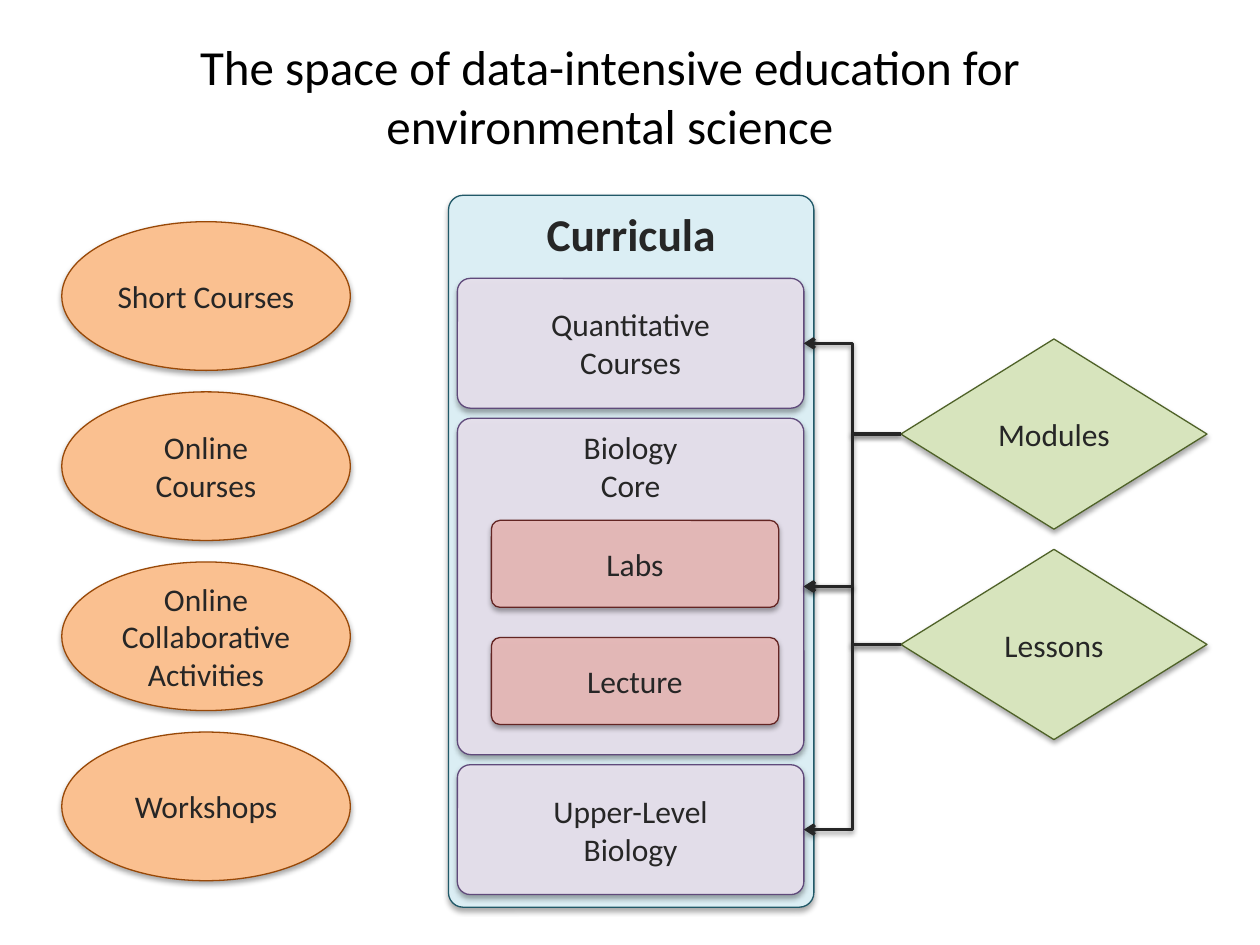
from dataclasses import dataclass

from lxml.etree import SubElement
from pptx import Presentation
from pptx.dml.color import RGBColor
from pptx.enum.shapes import MSO_CONNECTOR as Link, MSO_SHAPE as Preset
from pptx.enum.text import MSO_ANCHOR as Anchor, MSO_AUTO_SIZE as AutoSize, PP_ALIGN as Align
from pptx.oxml.ns import qn
from pptx.util import Inches, Pt

INK = "262626"


@dataclass(frozen=True)
class Style:
    preset: Preset
    fill: str
    line: str
    opacity: int = 100


@dataclass(frozen=True)
class Node:
    text: str
    style: Style
    left: float
    top: float
    width: float
    height: float
    corner: float = 0.099
    anchor: Anchor = Anchor.MIDDLE
    size: int = 18
    bold: bool = False


CURRICULA = Style(Preset.ROUNDED_RECTANGLE, "DBEEF4", "215968")
COURSE = Style(Preset.ROUNDED_RECTANGLE, "E6E0EC", "604A7B", 96)
CLASS = Style(Preset.ROUNDED_RECTANGLE, "E6B9B8", "632523", 96)
MATERIAL = Style(Preset.DIAMOND, "D7E4BD", "4F6228")
OFFERING = Style(Preset.OVAL, "FAC090", "984807")


def color(value: str) -> RGBColor:
    return RGBColor.from_string(value)


def format_text(frame, size: int, ink: str, anchor: Anchor, bold: bool = False) -> None:
    for name, value in {"word_wrap": True, "auto_size": AutoSize.NONE,
                        "vertical_anchor": anchor}.items():
        setattr(frame, name, value)
    for paragraph in frame.paragraphs:
        paragraph.alignment = Align.CENTER
        for run in paragraph.runs:
            run.font.color.rgb = color(ink)
            for name, value in {"name": "Calibri", "size": Pt(size), "bold": bold}.items():
                setattr(run.font, name, value)


def add_shadow(properties, opacity: int, distance: float) -> None:
    effects = SubElement(properties, qn("a:effectLst"))
    shadow = SubElement(effects, qn("a:outerShdw"), blurRad=str(Pt(3.1)),
                        dist=str(Pt(distance)), dir="5400000", rotWithShape="0")
    black = SubElement(shadow, qn("a:srgbClr"), val="000000")
    SubElement(black, qn("a:alpha"), val=str(opacity * 1000))


def add_node(shapes, node: Node):
    style = node.style
    box = map(Inches, (node.left, node.top, node.width, node.height))
    shape = shapes.add_shape(style.preset, *box)
    if style.preset == Preset.ROUNDED_RECTANGLE:
        shape.adjustments[0] = node.corner
    shape.fill.solid()
    shape.fill.fore_color.rgb = color(style.fill)
    properties = shape.element.spPr
    if style.opacity < 100:
        fill = properties.find(qn("a:solidFill")).find(qn("a:srgbClr"))
        SubElement(fill, qn("a:alpha"), val=str(style.opacity * 1000))
    shape.line.color.rgb = color(style.line)
    shape.line.width = Pt(0.75)
    add_shadow(properties, 35, 1.8)
    shape.text_frame.text = node.text
    format_text(shape.text_frame, node.size, INK, node.anchor, node.bold)
    return shape


def add_arrow(shapes, source, target) -> None:
    arrow = shapes.add_connector(Link.ELBOW, 0, 0, 0, 0)
    arrow.begin_connect(source, 1)  # left corner
    arrow.end_connect(target, 3)  # right side
    arrow.line.color.rgb = color(INK)
    arrow.line.width = Pt(2)
    properties = arrow.element.spPr
    SubElement(properties.find(qn("a:ln")), qn("a:tailEnd"), type="arrow")
    add_shadow(properties, 38, 1.6)


presentation = Presentation()
presentation.slide_width, presentation.slide_height = Inches(10), Inches(7.5)
slide = presentation.slides.add_slide(presentation.slide_layouts[5])
shapes = slide.shapes

# Title
title = shapes.title
for side, length in {"left": 0.59, "top": -0.05, "width": 8.5, "height": 1.61}.items():
    setattr(title, side, Inches(length))
title.text_frame.text = "The space of data-intensive education for environmental science"
format_text(title.text_frame, 28, "000000", Anchor.MIDDLE)

# Curricula panel and its courses
add_node(shapes, Node("Curricula", CURRICULA, 3.56, 1.55, 2.9, 5.65, 0.04, Anchor.TOP, 26, True))
quantitative, upper_level, core = [
    add_node(shapes, Node(text, COURSE, 3.63, top, 2.75, height, corner, anchor))
    for text, top, height, corner, anchor in (
        ("Quantitative\vCourses", 2.21, 1.03, 0.099, Anchor.MIDDLE),
        ("Upper-Level\vBiology", 6.07, 1.03, 0.099, Anchor.MIDDLE),
        ("Biology\vCore", 3.32, 2.67, 0.041, Anchor.TOP),
    )
]
for row, text in enumerate(("Labs", "Lecture")):
    add_node(shapes, Node(text, CLASS, 3.9, 4.13 + 0.93 * row, 2.28, 0.69))

# Teaching materials and the courses they feed
modules, lessons = [
    add_node(shapes, Node(text, MATERIAL, 7.15, 2.69 + 1.67 * row, 2.43, 1.51))
    for row, text in enumerate(("Modules", "Lessons"))
]
for material, course in ((lessons, core), (lessons, upper_level),
                         (modules, quantitative), (modules, core)):
    add_arrow(shapes, material, course)

# Offerings outside the curricula
offerings = ("Short Courses", "Online Courses", "Online Collaborative Activities", "Workshops")
for row, text in enumerate(offerings):
    add_node(shapes, Node(text, OFFERING, 0.49, 1.76 + 1.35 * row, 2.29, 1.18))

presentation.save("out.pptx")
